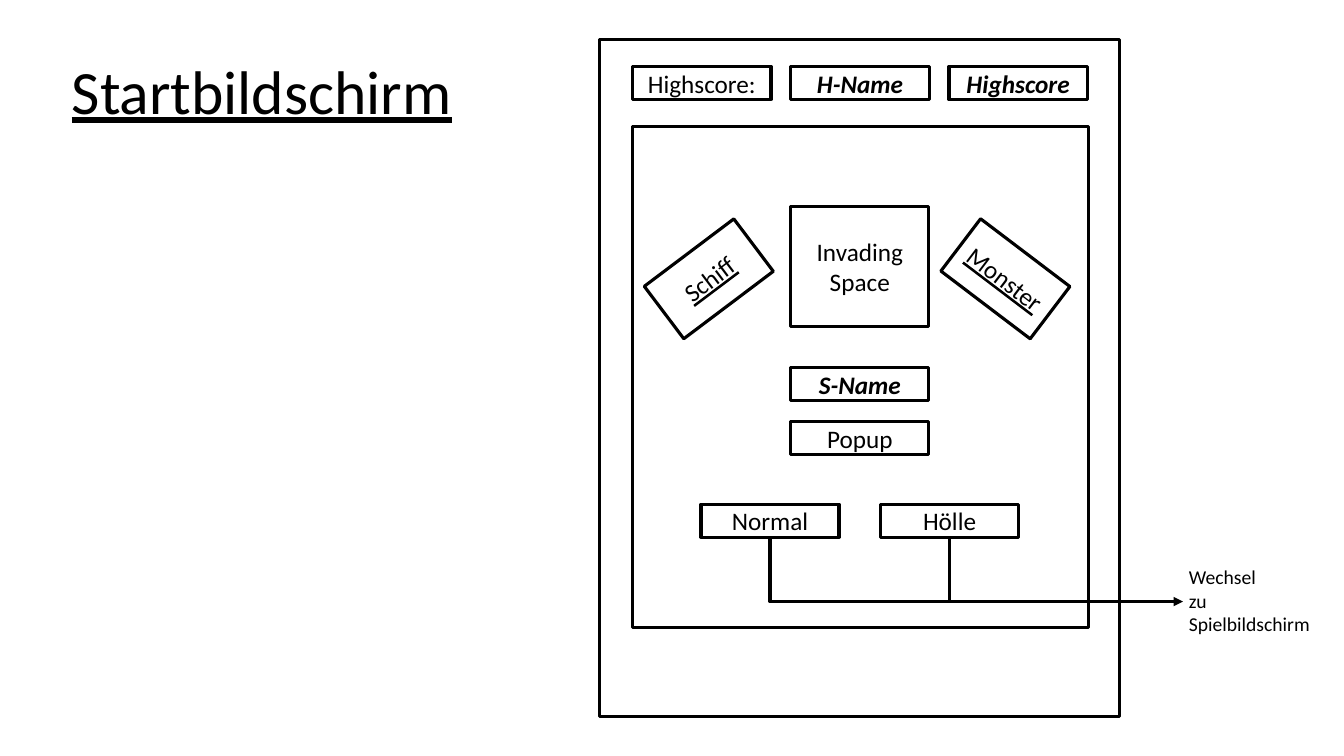
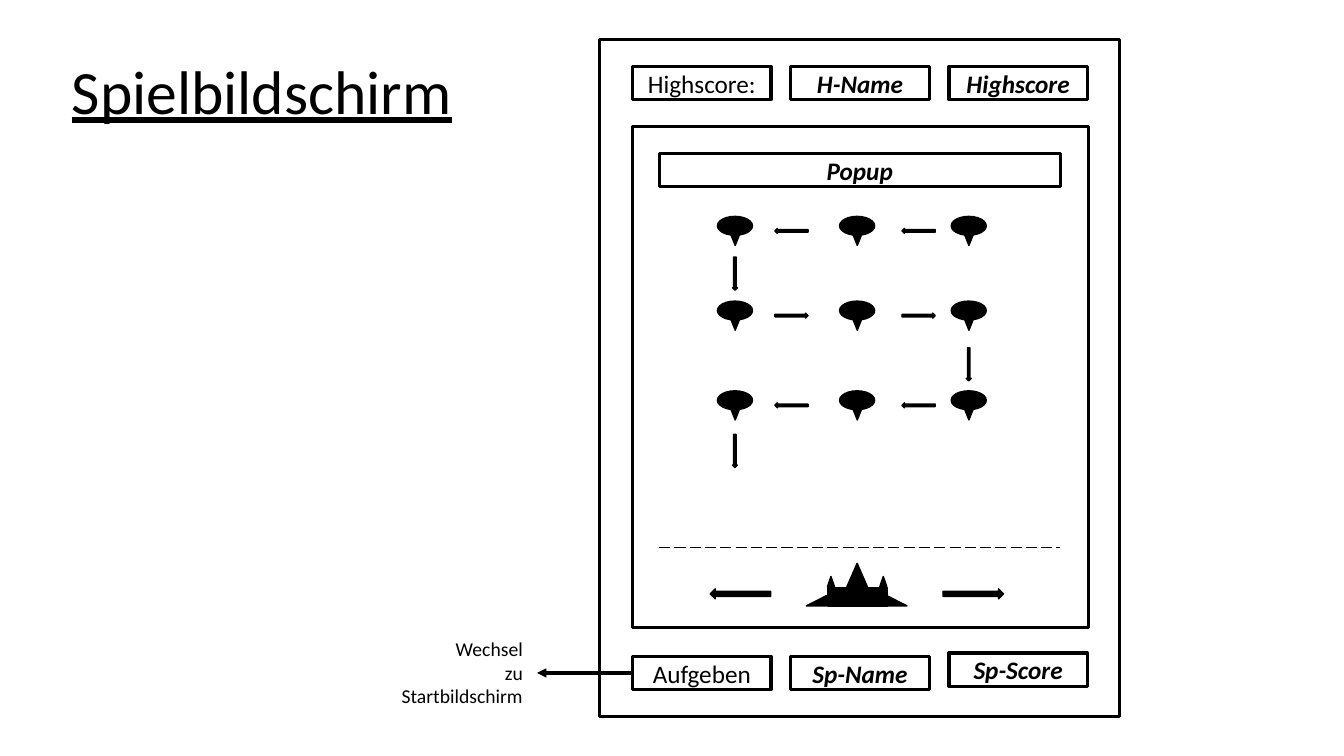
from dataclasses import dataclass

from lxml import etree
from pptx import Presentation
from pptx.dml.color import RGBColor
from pptx.enum.dml import MSO_LINE
from pptx.enum.shapes import MSO_CONNECTOR, MSO_SHAPE
from pptx.enum.text import MSO_ANCHOR, MSO_AUTO_SIZE, PP_ALIGN
from pptx.oxml.ns import qn
from pptx.util import Inches, Pt

RECT, OVAL, TRIANGLE = MSO_SHAPE.RECTANGLE, MSO_SHAPE.OVAL, MSO_SHAPE.ISOSCELES_TRIANGLE
LEFT_ARROW, RIGHT_ARROW, DOWN_ARROW = (
    MSO_SHAPE.LEFT_ARROW, MSO_SHAPE.RIGHT_ARROW, MSO_SHAPE.DOWN_ARROW)
STRAIGHT, ELBOW = MSO_CONNECTOR.STRAIGHT, MSO_CONNECTOR.ELBOW
LONG_DASH = MSO_LINE.LONG_DASH
MIDDLE, FIT_SHAPE = MSO_ANCHOR.MIDDLE, MSO_AUTO_SIZE.SHAPE_TO_FIT_TEXT
ALIGN_LEFT, ALIGN_CENTER, ALIGN_RIGHT = PP_ALIGN.LEFT, PP_ALIGN.CENTER, PP_ALIGN.RIGHT
SIDE_LEFT, SIDE_BOTTOM = 1, 2

BLACK, WHITE = RGBColor(0, 0, 0), RGBColor(255, 255, 255)
FONT = "Calibri"
FRAME_LINE, THIN_LINE = Pt(2.25), Pt(1)

# Text formats
TITLE = {"size": Pt(44), "underline": True}
LABEL = {"size": Pt(18)}
VARIABLE = {"size": Pt(18), "bold": True, "italic": True}
SPRITE = {"size": Pt(18), "underline": True}
NOTE = {"size": Pt(14)}


@dataclass
class Box:
    left: int
    top: int
    width: int
    height: int

    def x(self, percent):
        return round(self.left + self.width * percent / 100)

    def y(self, percent):
        return round(self.top + self.height * percent / 100)

    def inner(self, x, y, width, height):
        """Inner box, given in percent of this one."""
        return Box(self.x(x), self.y(y), round(self.width * width / 100),
                   round(self.height * height / 100))

    def sides(self):
        return self.left, self.top, self.width, self.height


PAGE = Box(0, 0, Inches(13.33), Inches(7.5))
PHONE = PAGE.inner(44.6, 5.2, 38.7, 89.6)
FIELD = PHONE.inner(6.4, 12.9, 87.6, 74)

# Grid of the status rows, in percent of the phone
STATUS_LEFT, STATUS_STEP, STATUS_W, STATUS_H = 6.4, 30.4, 26.6, 4.9
# Label size and middle column, in percent of the field
TILE_W, TILE_H, TILE_MID = 30.3, 6.6, 34.7


def write(shape, text, style, align):
    frame = shape.text_frame
    frame.text = text
    for paragraph in frame.paragraphs:
        paragraph.alignment = align
        for name, value in {"name": FONT, **style}.items():
            setattr(paragraph.font, name, value)
        paragraph.font.color.rgb = BLACK
    return frame


def draw(shapes, kind, box, fill=BLACK, weight=THIN_LINE, turn=0):
    shape = shapes.add_shape(kind, *box.sides())
    shape.shadow.inherit = False
    shape.rotation = turn
    if fill is None:
        shape.fill.background()
    else:
        shape.fill.solid()
        shape.fill.fore_color.rgb = fill
    shape.line.color.rgb = BLACK
    shape.line.width = weight
    return shape


def tile(shapes, box, text, style=LABEL, turn=0):
    shape = draw(shapes, RECT, box, WHITE, FRAME_LINE, turn)
    write(shape, text, style, ALIGN_CENTER).vertical_anchor = MIDDLE
    return shape


def connect(shapes, start, end, kind=STRAIGHT, weight=FRAME_LINE, arrow=False):
    connector = shapes.add_connector(kind, *start, *end)
    connector.line.color.rgb = BLACK
    connector.line.width = weight
    properties = connector._element.spPr
    if arrow:
        etree.SubElement(properties.find(qn("a:ln")), qn("a:tailEnd"), type="triangle")
    etree.SubElement(properties, qn("a:effectLst"))
    return connector


def down_then_right(shapes, start, end):
    """One-bend arrow: a bent connector turned by 270 degrees and mirrored."""
    run, drop = end[0] - start[0], end[1] - start[1]
    left = (start[0] + end[0] - drop) // 2
    top = (start[1] + end[1] - run) // 2
    connector = connect(shapes, (left, top), (left + drop, top + run), ELBOW, arrow=True)
    properties = connector._element.spPr
    properties.find(qn("a:prstGeom")).set("prst", "bentConnector2")
    outline = properties.find(qn("a:xfrm"))
    outline.set("rot", "16200000")
    outline.set("flipH", "1")


def title(shapes, box, text):
    heading = shapes.add_textbox(*box.sides())
    frame = write(heading, text, TITLE, ALIGN_LEFT)
    frame.word_wrap = True
    frame.vertical_anchor = MIDDLE
    frame.paragraphs[0].line_spacing = 0.9


def switch_note(shapes, box, target, align):
    note = shapes.add_textbox(*box.sides())
    frame = write(note, f"Wechsel\nzu\n{target}", NOTE, align)
    frame.word_wrap = False
    frame.auto_size = FIT_SHAPE


def status_row(shapes, phone, cells):
    return [tile(shapes, phone.inner(STATUS_LEFT + column * STATUS_STEP, y, STATUS_W, STATUS_H),
                 text, style)
            for column, (text, style, y) in enumerate(cells)]


def screen(deck, name):
    """Slide with title, phone outline, highscore row and empty field."""
    shapes = deck.slides.add_slide(deck.slide_layouts[6]).shapes
    title(shapes, PAGE.inner(4.6, 7.1, 30, 10.7), name)
    draw(shapes, RECT, PHONE, None, FRAME_LINE)
    status_row(shapes, PHONE, [("Highscore:", LABEL, 4), ("H-Name", VARIABLE, 4),
                               ("Highscore", VARIABLE, 4)])
    draw(shapes, RECT, FIELD, WHITE, FRAME_LINE)
    return shapes


def start_menu(shapes, field):
    tile(shapes, field.inner(TILE_MID, 15.9, TILE_W, 23.9), "Invading\nSpace")
    for text, x, turn in (("Monster", 69.5, 37.2), ("Schiff", 4.4, 323)):
        tile(shapes, field.inner(x, 23.8, 24.6, 13.1), text, SPRITE, turn)
    choices = [("S-Name", VARIABLE, TILE_MID, 48.1), ("Popup", LABEL, TILE_MID, 58.8),
               ("Normal", LABEL, 15, 75.3), ("Hölle", LABEL, 54.4, 75.3)]
    return {text: tile(shapes, field.inner(x, y, TILE_W, TILE_H), text, style)
            for text, style, x, y in choices}


def start_exit(shapes, phone, normal, hell):
    """Both level buttons lead to the game screen."""
    exit_y = phone.y(83)
    down_then_right(shapes, (normal.left + normal.width // 2, normal.top + normal.height),
                    (phone.x(112.2), exit_y))
    hell_x = hell.left + hell.width // 2
    branch = connect(shapes, (hell_x, hell.top + hell.height), (hell_x, exit_y))
    branch.begin_connect(hell, SIDE_BOTTOM)
    switch_note(shapes, phone.inner(111.4, 76.9, 27.5, 12.1), "Spielbildschirm", ALIGN_LEFT)


def invader(shapes, box):
    body = shapes.add_group_shape().shapes
    draw(body, OVAL, box.inner(0, 0, 100, 65))
    draw(body, TRIANGLE, box.inner(29, 35, 43, 65), turn=180)


def invader_march(shapes, field):
    columns, size = (18.6, 45.4, 69.9), (7.7, 5.8)
    # Row top, marching direction, column and top of the step down
    rows = [(17.9, LEFT_ARROW, 0, 26), (34.8, RIGHT_ARROW, 2, 44.1),
            (52.7, LEFT_ARROW, 0, 61.4)]
    for y, direction, turn_column, turn_y in rows:
        for x in columns:
            invader(shapes, field.inner(x, y, *size))
        for x in (31.2, 59.1):
            draw(shapes, direction, field.inner(x, y + 2.4, 7.3, 1))
        draw(shapes, DOWN_ARROW, field.inner(columns[turn_column] + 3.3, turn_y, 1.1, 6.6))


def ship(shapes, box):
    hull = shapes.add_group_shape().shapes
    draw(hull, TRIANGLE, box.inner(33, 0, 35, 95))
    draw(hull, RECT, box.inner(21, 57, 60, 43))
    for x in (21, 73):
        draw(hull, TRIANGLE, box.inner(x, 31, 7, 24))
    for x, apex in ((80, 0), (0, 1)):
        draw(hull, TRIANGLE, box.inner(x, 76, 20, 24)).adjustments[0] = apex


def battlefield(shapes, field):
    tile(shapes, field.inner(5.8, 5.4, 88.1, TILE_H), "Popup", VARIABLE)
    invader_march(shapes, field)
    # Border line and the ship below it
    border_y = field.y(83.9)
    border = connect(shapes, (field.x(5.8), border_y), (field.x(93.8), border_y),
                     weight=THIN_LINE)
    border.line.dash_style = LONG_DASH
    ship(shapes, field.inner(38.1, 87.1, 22.1, 8.5))
    for direction, x in ((LEFT_ARROW, 17), (RIGHT_ARROW, 68.1)):
        draw(shapes, direction, field.inner(x, 92.2, 13.3, 2))


def game_exit(shapes, phone):
    """Giving up leads back to the start screen."""
    give_up = status_row(shapes, phone, [("Aufgeben", LABEL, 91.1), ("Sp-Name", VARIABLE, 91.1),
                                         ("Sp-Score", VARIABLE, 90.6)])[0]
    exit_y = give_up.top + give_up.height // 2
    back = connect(shapes, (give_up.left, exit_y), (phone.x(-12), exit_y), arrow=True)
    back.begin_connect(give_up, SIDE_LEFT)
    switch_note(shapes, phone.inner(-40.3, 87.5, 27.5, 12.1), "Startbildschirm", ALIGN_RIGHT)


def main():
    deck = Presentation()
    deck.slide_width, deck.slide_height = PAGE.width, PAGE.height

    shapes = screen(deck, "Startbildschirm")
    buttons = start_menu(shapes, FIELD)
    start_exit(shapes, PHONE, buttons["Normal"], buttons["Hölle"])

    shapes = screen(deck, "Spielbildschirm")
    battlefield(shapes, FIELD)
    game_exit(shapes, PHONE)

    deck.save("out.pptx")


if __name__ == "__main__":
    main()
